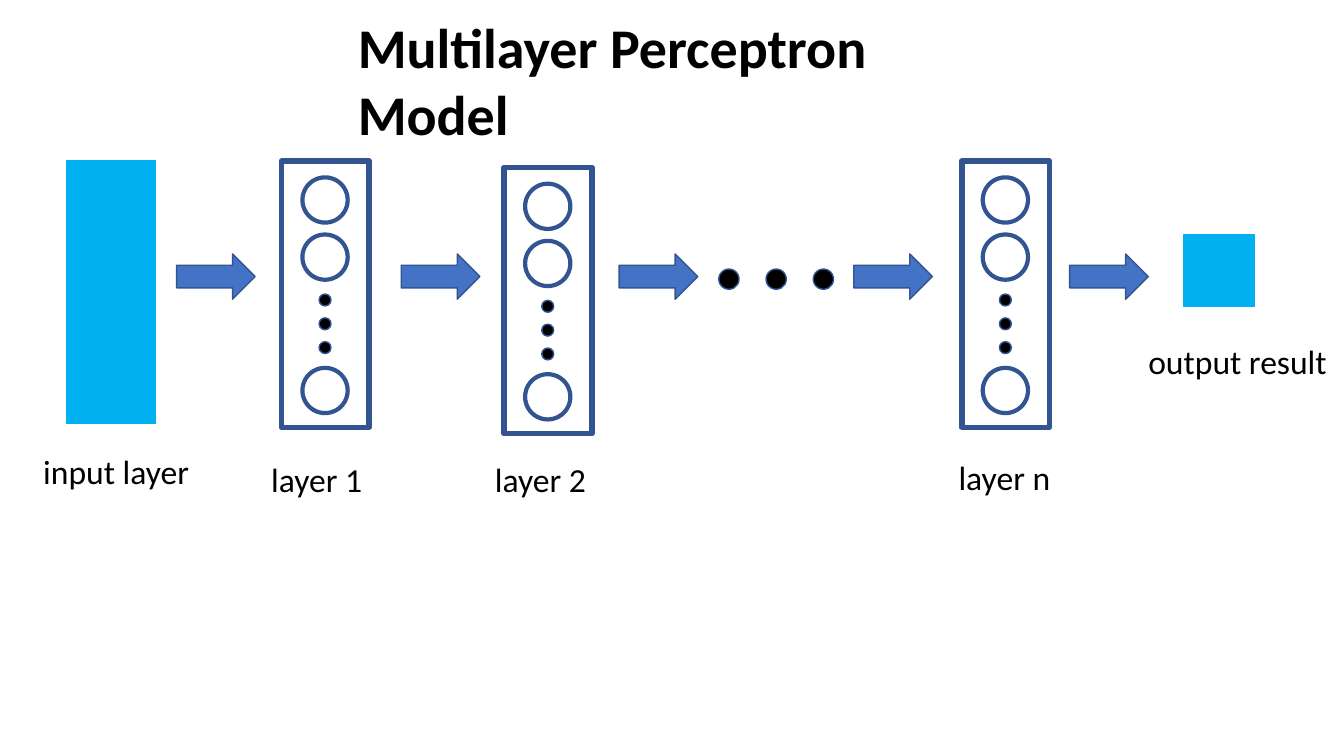
from pptx import Presentation
from pptx.dml.color import RGBColor
from pptx.enum import shapes, text
from pptx.util import Cm, Pt

BLACK = RGBColor(0x00, 0x00, 0x00)
WHITE = RGBColor(0xFF, 0xFF, 0xFF)
SKY = RGBColor(0x00, 0xB0, 0xF0)
BLUE = RGBColor(0x44, 0x72, 0xC4)
NAVY = RGBColor(0x32, 0x54, 0x91)
KIND = shapes.MSO_SHAPE

# Left, top, label, label left, label top, label width
LAYERS = [
    (7.09, 4.06, "layer 1", 6.58, 11.43, 3.25),
    (12.7, 4.22, "layer 2", 12.22, 11.43, 2.87),
    (24.23, 4.06, "layer n", 23.9, 11.4, 2.87),
]
ARROWS = [4.45, 10.11, 15.6, 21.51, 26.95]


def place(item, left, top, width, height):
    """Set position and size in centimetres."""
    item.left, item.top = Cm(left), Cm(top)
    item.width, item.height = Cm(width), Cm(height)


def draw(tree, kind, box, fill, line=NAVY, weight=1):
    """Add a filled, outlined preset shape."""
    item = tree.add_shape(kind, *map(Cm, box))
    item.shadow.inherit = False
    item.fill.solid()
    item.fill.fore_color.rgb = fill
    item.line.color.rgb = line
    item.line.width = Pt(weight)


def style(para, size, bold=False):
    """Format a left-aligned paragraph."""
    para.alignment = text.PP_ALIGN.LEFT
    para.line_spacing = 1.0
    para.space_before = Pt(0)
    font = para.font
    font.name, font.size, font.bold = "Calibri", Pt(size), bold
    font.color.rgb = BLACK


def title(slide, words):
    """Fill and format the title placeholder."""
    head = slide.shapes.title
    place(head, 8.76, 0.18, 17.07, 1.96)
    frame = head.text_frame
    frame.text = words
    frame.word_wrap = True
    frame.auto_size = text.MSO_AUTO_SIZE.NONE
    frame.vertical_anchor = text.MSO_ANCHOR.TOP
    style(frame.paragraphs[0], 40, True)


def label(slide, words, left, top, width):
    """Add a caption."""
    box = slide.shapes.add_textbox(Cm(left), Cm(top), Cm(width), Cm(1.27))
    frame = box.text_frame
    frame.word_wrap = True
    frame.text = words
    style(frame.paragraphs[0], 24)


def layer(slide, left, top):
    """Add a grouped layer: frame, three neurons and three dots."""
    tree = slide.shapes.add_group_shape().shapes
    draw(tree, KIND.RECTANGLE, (left, top, 2.21, 6.71), WHITE, weight=4)
    for drop in (0.41, 1.85, 5.21):
        draw(tree, KIND.OVAL, (left + 0.53, top + drop, 1.14, 1.14),
             WHITE, weight=3)
    for i in range(3):
        draw(tree, KIND.OVAL, (left + 0.95, top + 3.35 + 0.6 * i, 0.3, 0.3),
             BLACK)


def gap(slide):
    """Add the grouped dots that stand for the layers left out."""
    tree = slide.shapes.add_group_shape().shapes
    for i in range(3):
        draw(tree, KIND.OVAL, (18.11 + 1.19 * i, 6.78, 0.51, 0.51), BLACK)


def main():
    """Build the slide and save it."""
    deck = Presentation()
    deck.slide_width, deck.slide_height = Cm(33.86), Cm(19.05)
    slide = deck.slides.add_slide(deck.slide_layouts[5])
    title(slide, "Multilayer Perceptron Model")

    draw(slide.shapes, KIND.RECTANGLE, (1.68, 4.06, 2.24, 6.6), SKY, SKY)
    label(slide, "input layer", 0.84, 11.23, 4.52)
    for left, top, words, *spot in LAYERS:
        layer(slide, left, top)
        label(slide, words, *spot)
    gap(slide)
    for left in ARROWS:
        draw(slide.shapes, KIND.RIGHT_ARROW, (left, 6.4, 1.98, 1.14), BLUE)
    draw(slide.shapes, KIND.RECTANGLE, (29.82, 5.92, 1.78, 1.8), SKY, SKY)
    label(slide, "output result", 28.68, 8.46, 5.41)

    deck.save("out.pptx")


main()
